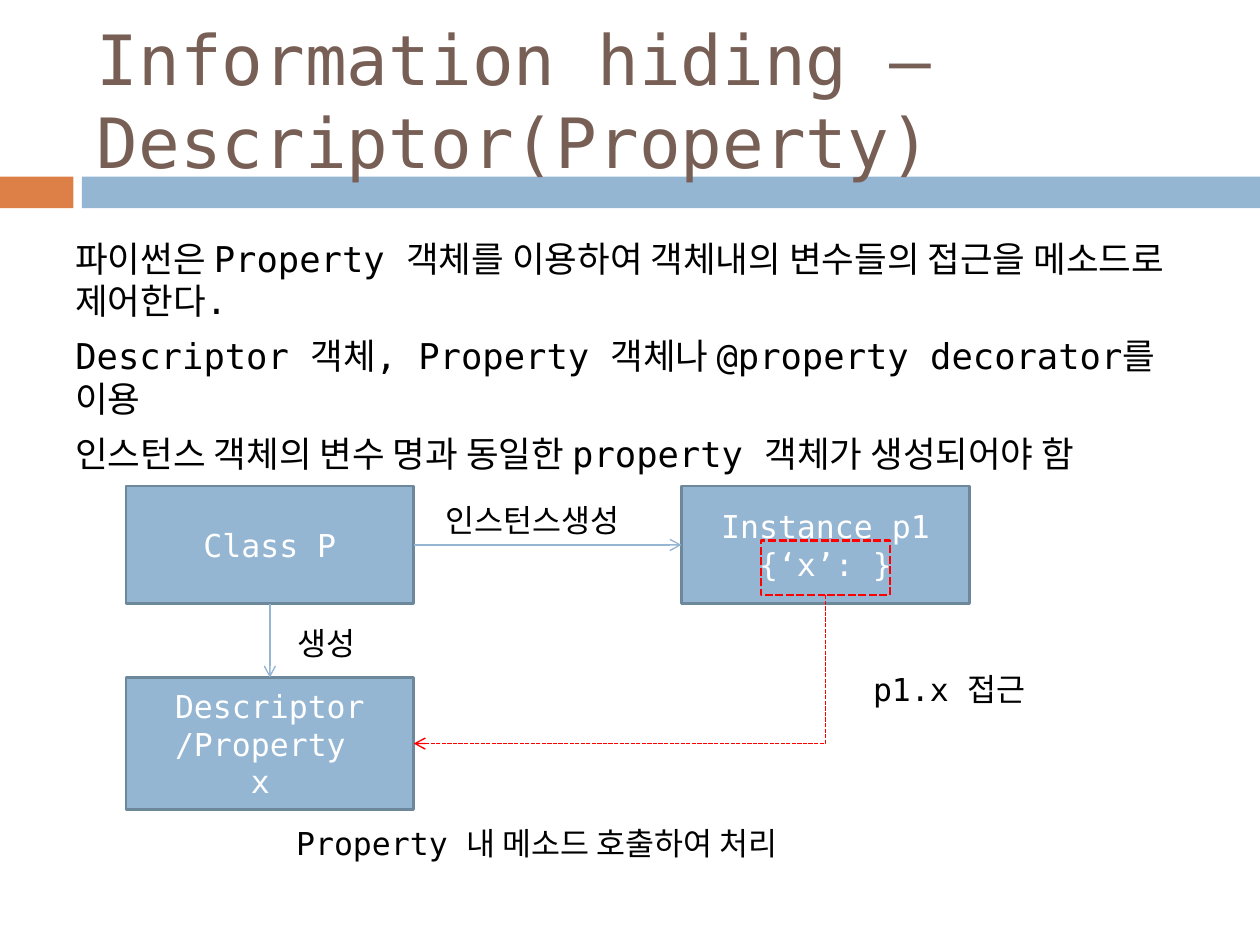
from dataclasses import dataclass

from lxml import etree
from pptx import Presentation
from pptx.dml.color import RGBColor
from pptx.enum import dml, shapes, text
from pptx.oxml import ns
from pptx.util import Cm, Pt


@dataclass(frozen=True)
class Theme:
    font: str = "DejaVu Sans Mono"
    title: str = "775F55"
    ink: str = "000000"
    white: str = "FFFFFF"
    blue: str = "94B6D2"
    edge: str = "6D879B"
    orange: str = "DD8047"
    red: str = "FF0000"
    title_size: float = 39.6
    body_size: float = 20.3
    label_size: float = 18
    border: float = 1.5
    arrow: float = 0.79


THEME = Theme()


def rgb(code):
    return RGBColor.from_string(code)


def write(tf, lines, size, color, align=text.PP_ALIGN.LEFT, gap=0):
    """Fill a text frame with one paragraph per line, gap points apart."""
    tf.word_wrap = True
    for i, line in enumerate(lines):
        p = tf.paragraphs[0] if i == 0 else tf.add_paragraph()
        p.text = line
        p.alignment = align
        p.space_before = Pt(gap if i else 0)
        p.font.name = THEME.font
        p.font.size = Pt(size)
        p.font.color.rgb = rgb(color)


def add_text(s, x, y, w, h, lines, size, color, gap=0):
    tf = s.shapes.add_textbox(Cm(x), Cm(y), Cm(w), Cm(h)).text_frame
    write(tf, lines, size, color, gap=gap)
    return tf


def add_rect(s, x, y, w, h, fill=None, line=None):
    sp = s.shapes.add_shape(shapes.MSO_SHAPE.RECTANGLE, Cm(x), Cm(y), Cm(w), Cm(h))
    sp.shadow.inherit = False
    if fill:
        sp.fill.solid()
        sp.fill.fore_color.rgb = rgb(fill)
    else:
        sp.fill.background()
    if line:
        sp.line.color.rgb = rgb(line)
        sp.line.width = Pt(THEME.border)
    else:
        sp.line.fill.background()
    return sp


def add_node(s, x, y, w, h, lines):
    sp = add_rect(s, x, y, w, h, THEME.blue, THEME.edge)
    sp.text_frame.vertical_anchor = text.MSO_ANCHOR.MIDDLE
    write(sp.text_frame, lines, THEME.label_size, THEME.white, text.PP_ALIGN.CENTER)
    return sp


def style_arrow(cx, color):
    cx.line.color.rgb = rgb(color)
    cx.line.width = Pt(THEME.arrow)
    etree.SubElement(cx.line._get_or_add_ln(), ns.qn("a:tailEnd"), type="arrow")
    etree.SubElement(cx.element.spPr, ns.qn("a:effectLst"))


def join(s, start, start_site, end, end_site):
    cx = s.shapes.add_connector(shapes.MSO_CONNECTOR.STRAIGHT, 0, 0, 0, 0)
    cx.begin_connect(start, start_site)
    cx.end_connect(end, end_site)
    style_arrow(cx, THEME.blue)


def add_corner_arrow(s, x1, y1, x2, y2):
    """Dashed arrow going down from (x1, y1), then left to (x2, y2)."""
    w, h = y2 - y1, x1 - x2  # sides before the quarter turn
    left, top = (x1 + x2 - w) / 2, (y1 + y2 - h) / 2
    cx = s.shapes.add_connector(shapes.MSO_CONNECTOR.ELBOW,
                                Cm(left), Cm(top), Cm(left + w), Cm(top + h))
    cx.element.spPr.find(ns.qn("a:prstGeom")).set("prst", "bentConnector2")
    cx.element.spPr.find(ns.qn("a:xfrm")).set("rot", str(90 * 60000))
    cx.line.dash_style = dml.MSO_LINE.SQUARE_DOT
    style_arrow(cx, THEME.red)


def add_header(s, x, y, w, h):
    bar_h, tab_w, bar_x = 0.64, 1.48, 1.65
    bar_y = y + h - bar_h
    add_rect(s, x, bar_y, tab_w, bar_h, THEME.orange)
    add_rect(s, x + bar_x, bar_y, w - bar_x, bar_h, THEME.blue)
    tf = add_text(s, x + 1.7, y + 0.64, 22.66, 2.74,
                  ["Information hiding –Descriptor(Property)"],
                  THEME.title_size, THEME.title)
    tf.vertical_anchor = text.MSO_ANCHOR.MIDDLE


def add_body(s, x, y, w, h):
    add_text(s, x, y, w, h, [
        "파이썬은 Property 객체를 이용하여 객체내의 변수들의 접근을 메소드로 제어한다.",
        "Descriptor 객체, Property 객체나 @property decorator를 이용",
        "인스턴스 객체의 변수 명과 동일한 property 객체가 생성되어야 함",
    ], THEME.body_size, THEME.ink, gap=7)


def add_diagram(s, x, y, w, h):
    node_w, node_h, prop_h = 5.8, 2.37, 2.66
    prop_y = y + 3.86
    cls = add_node(s, x, y, node_w, node_h, ["Class P"])
    inst = add_node(s, x + w - node_w, y, node_w, node_h, ["Instance p1", "{‘x’: }"])
    prop = add_node(s, x, prop_y, node_w, prop_h, ["Descriptor", "/Property ", "x "])
    join(s, cls, 2, prop, 0)
    join(s, cls, 3, inst, 1)

    mark_w, mark_h = 2.6, 1.1
    mark_x, mark_y = x + w - (node_w + mark_w) / 2, y + 1.1
    mark = add_rect(s, mark_x, mark_y, mark_w, mark_h, line=THEME.red)
    mark.line.dash_style = dml.MSO_LINE.SQUARE_DOT
    add_corner_arrow(s, mark_x + mark_w / 2, mark_y + mark_h,
                     x + node_w, prop_y + prop_h / 2)

    labels = [
        (3.2, 2.66, 2, "생성"),
        (6.2, 0.18, 4.6, "인스턴스생성"),
        (14.81, 3.58, 5.41, "p1.x 접근"),
        (3.18, 6.68, 10.59, "Property 내 메소드 호출하여 처리"),
    ]
    for dx, dy, label_w, label in labels:
        add_text(s, x + dx, y + dy, label_w, h - 6.68, [label],
                 THEME.label_size, THEME.ink)


def main():
    prs = Presentation()
    prs.slide_width, prs.slide_height = Cm(25.4), Cm(19.05)
    s = prs.slides.add_slide(prs.slide_layouts[6])
    add_header(s, 0, 0, 25.4, 4.2)
    add_body(s, 1.27, 4.65, 22.86, 4.88)
    add_diagram(s, 2.54, 9.8, 17, 7.62)
    prs.save("out.pptx")


if __name__ == "__main__":
    main()
